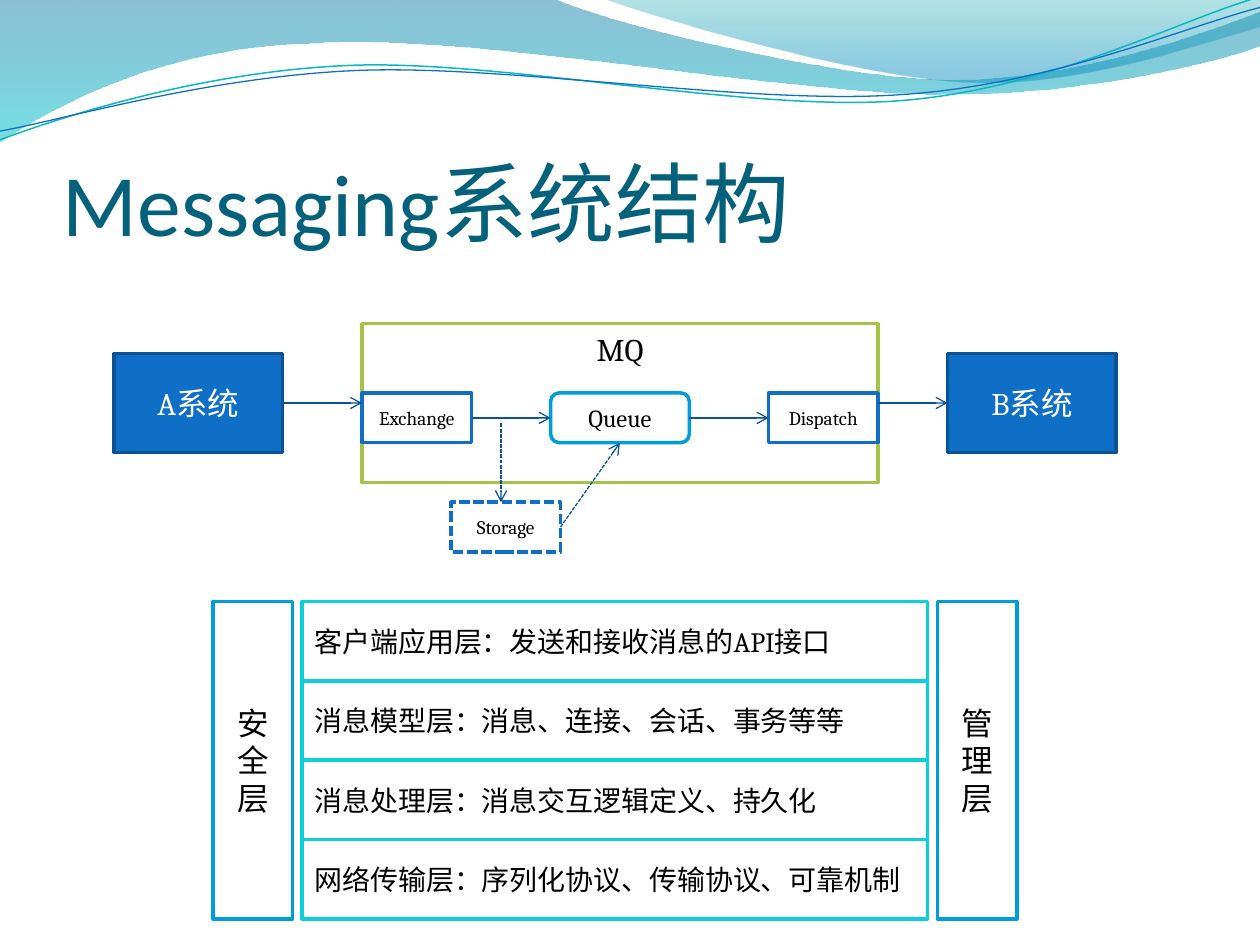
from math import cos, radians, sin
from typing import NamedTuple

from lxml import etree
from pptx import Presentation
from pptx.dml.color import RGBColor
from pptx.enum.dml import MSO_LINE
from pptx.enum.shapes import MSO_CONNECTOR, MSO_SHAPE
from pptx.enum.text import MSO_ANCHOR, PP_ALIGN
from pptx.oxml.ns import qn
from pptx.util import Pt

RECT, ROUNDED = MSO_SHAPE.RECTANGLE, MSO_SHAPE.ROUNDED_RECTANGLE
STRAIGHT = MSO_CONNECTOR.STRAIGHT
DASHED = MSO_LINE.SQUARE_DOT
TOP, MIDDLE, BOTTOM = MSO_ANCHOR.TOP, MSO_ANCHOR.MIDDLE, MSO_ANCHOR.BOTTOM
LEFT, CENTER = PP_ALIGN.LEFT, PP_ALIGN.CENTER

WHITE = RGBColor(0xFF, 0xFF, 0xFF)
BLACK = RGBColor(0, 0, 0)
TITLE_TEAL = RGBColor(0x04, 0x61, 0x7B)
BLUE = RGBColor(0x0F, 0x6F, 0xC6)
DARK_BLUE = RGBColor(0x0B, 0x52, 0x92)
ARROW_BLUE = RGBColor(0x09, 0x52, 0x95)
SKY = RGBColor(0x00, 0x9D, 0xD9)
CYAN = RGBColor(0x0B, 0xD0, 0xD9)
GREEN = RGBColor(0xA5, 0xC2, 0x49)
WAVE_TEAL = RGBColor(0x0A, 0xB8, 0xBF)
BAND_TOP, BAND_END = RGBColor(0x00, 0x74, 0xA1), RGBColor(0x00, 0xC6, 0xCF)
CREST_TOP, CREST_END = RGBColor(0x00, 0xA1, 0xA9), RGBColor(0x00, 0x8B, 0xBF)

TILT = -2.7  # degrees, for the thin wave lines
Point = tuple[float, float]


class Stop(NamedTuple):
    position: float
    color: RGBColor
    opacity: int


class Wave(NamedTuple):
    segments: list[list[Point]]  # one point is a line, three are a cubic curve
    stops: tuple[Stop, ...] = ()
    line: RGBColor | None = None
    width: float = 0
    center: Point = (0, 0)


class Box(NamedTuple):
    text: str
    left: float
    top: float
    width: float
    height: float
    line: RGBColor
    size: float
    fill: RGBColor = WHITE
    color: RGBColor = BLACK
    kind: int = RECT
    anchor: int = MIDDLE
    align: int = CENTER
    dash: int | None = None


class Arrow(NamedTuple):
    start: Point
    end: Point
    dash: int | None = None


def turn(point: Point, center: Point, degrees: float) -> Point:
    angle = radians(degrees)
    dx, dy = point[0] - center[0], point[1] - center[1]
    return (center[0] + dx * cos(angle) - dy * sin(angle),
            center[1] + dx * sin(angle) + dy * cos(angle))


def bend(shape, segments: list[list[Point]]) -> None:
    """Turn each run of three straight segments into one cubic curve."""
    lines = iter(list(shape.element.spPr.iter(qn("a:lnTo"))))
    for segment in segments[1:]:
        parts = [next(lines) for _ in segment]
        if len(parts) == 3:
            curve = etree.Element(qn("a:cubicBezTo"))
            parts[0].addprevious(curve)
            for part in parts:
                curve.append(part[0])
                part.getparent().remove(part)


def draw_wave(page, wave: Wave) -> None:
    tilt = 0 if wave.stops else TILT
    points = [turn(point, wave.center, -tilt)
              for segment in wave.segments for point in segment]
    vertices = [(Pt(x), Pt(y)) for x, y in points]
    builder = page.shapes.build_freeform(*vertices[0], scale=1.0)
    builder.add_line_segments(vertices[1:], close=bool(wave.stops))
    shape = builder.convert_to_shape()
    bend(shape, wave.segments)
    shape.rotation = tilt
    shape.shadow.inherit = False
    if not wave.stops:
        shape.fill.background()
        shape.line.color.rgb = wave.line
        shape.line.width = Pt(wave.width)
        return
    shape.fill.gradient()
    shape.fill.gradient_angle = 270
    for target, stop in zip(shape.fill.gradient_stops, wave.stops):
        target.position = stop.position
        target.color.rgb = stop.color
    fill_xml = shape.element.spPr.find(qn("a:gradFill"))
    for color_xml, stop in zip(fill_xml.iter(qn("a:srgbClr")), wave.stops):
        etree.SubElement(color_xml, qn("a:alpha"), val=str(stop.opacity * 1000))
    shape.line.fill.background()


def write_text(frame, text: str, align: int, color: RGBColor,
               font: dict, layout: dict) -> None:
    para = frame.paragraphs[0]
    para.alignment = align
    span = para.add_run()
    span.text = text
    span.font.color.rgb = color
    for target, values in ((frame, {"word_wrap": True, **layout}), (span.font, font)):
        for name, value in values.items():
            setattr(target, name, value)


def draw_box(page, box: Box) -> None:
    shape = page.shapes.add_shape(box.kind, Pt(box.left), Pt(box.top),
                                  Pt(box.width), Pt(box.height))
    shape.shadow.inherit = False
    shape.fill.solid()
    shape.fill.fore_color.rgb = box.fill
    shape.line.color.rgb = box.line
    shape.line.width = Pt(2)
    if box.dash:
        shape.line.dash_style = box.dash
    write_text(shape.text_frame, box.text, box.align, box.color,
               {"name": "Cambria", "size": Pt(box.size)}, {"vertical_anchor": box.anchor})


def draw_arrow(page, arrow: Arrow) -> None:
    ends = [Pt(value) for value in (*arrow.start, *arrow.end)]
    connector = page.shapes.add_connector(STRAIGHT, *ends)
    connector.line.color.rgb = ARROW_BLUE
    connector.line.width = Pt(0.75)
    if arrow.dash:
        connector.line.dash_style = arrow.dash
    properties = connector.element.spPr
    etree.SubElement(properties.find(qn("a:ln")), qn("a:tailEnd"), type="arrow")
    etree.SubElement(properties, qn("a:effectLst"))


deck = Presentation()
deck.slide_width, deck.slide_height = Pt(720), Pt(540)
page = deck.slides.add_slide(deck.slide_layouts[6])

# Waves along the top edge
WAVES = [
    Wave([[(0, 0)], [(316.8, -0.7)], [(342.7, 12.2), (478, 45.4), (545.8, 45.4)],
          [(614.2, 45.4), (689.8, 18.7), (720, 6.5)], [(720.7, 25.9)],
          [(707.8, 31.7), (626.4, 54.7), (537.1, 54)],
          [(447.8, 54), (275, 20.2), (185, 24.5)],
          [(92.9, 25.9), (33.1, 59.8), (-0.7, 81.4)]],
         (Stop(0, BAND_TOP, 45), Stop(1, BAND_END, 55))),
    Wave([[(344.9, -0.7)], [(366.5, 7.9), (491, 44.6), (553.7, 46.8)],
          [(616.3, 49.7), (691.9, 23), (720, 15.1)], [(720, 0)]],
         (Stop(0, CREST_TOP, 30), Stop(0.8, CREST_END, 45))),
    Wave([[(0, 79.9)], [(34.6, 67), (113.8, 41), (199.4, 37.4)],
          [(284.4, 33.8), (427, 64.1), (513.4, 57.6)],
          [(599.8, 51.1), (675.4, 10.8), (718.6, -1.4)]],
         line=WAVE_TEAL, width=0.85, center=(359.3, 41.4)),
    Wave([[(0, 74.9)], [(33.8, 69.1), (118.1, 43.9), (203.8, 40.3)],
          [(290.2, 36.7), (429.8, 60.5), (516.2, 54)],
          [(601.9, 48.2), (677.5, 15.1), (720, 4.3)]],
         line=BLUE, width=0.75, center=(359.6, 42.5)),
]
for wave in WAVES:
    draw_wave(page, wave)

# Title
title = page.shapes.add_textbox(Pt(36), Pt(55.4), Pt(648), Pt(90))
write_text(title.text_frame, "Messaging系统结构", LEFT, TITLE_TEAL,
           {"name": "Calibri", "size": Pt(50)},
           {"vertical_anchor": BOTTOM, "margin_left": 0, "margin_right": 0,
            "margin_top": Pt(3.6), "margin_bottom": 0})

# Message flow: two systems, the queue server and its parts
PART_TOP, PART_WIDTH, PART_HEIGHT = 224.6, 62.6, 28.35
boxes = [Box(text, left, 202, 96.3, 56.7, DARK_BLUE, 18, BLUE, WHITE)
         for text, left in (("A系统", 65.2), ("B系统", 541.5))]
boxes += [Box("MQ", 206.9, 185, 294.8, 90.7, GREEN, 18, anchor=TOP),
          Box("Queue", 314.7, PART_TOP, 79.2, PART_HEIGHT, SKY, 14, kind=ROUNDED)]
boxes += [Box(text, left, top, PART_WIDTH, PART_HEIGHT, BLUE, 11, dash=dash)
          for text, left, top, dash in (("Exchange", 206.9, PART_TOP, None),
                                        ("Dispatch", 439.2, PART_TOP, None),
                                        ("Storage", 257.7, 287, DASHED))]

# Layer stack between two side columns
STACK_TOP, LAYER_HEIGHT = 343.7, 45.35
LAYERS = ["客户端应用层：发送和接收消息的API接口", "消息模型层：消息、连接、会话、事务等等",
          "消息处理层：消息交互逻辑定义、持久化", "网络传输层：序列化协议、传输协议、可靠机制"]
boxes += [Box(text, 172.7, STACK_TOP + row * LAYER_HEIGHT, 357.3, LAYER_HEIGHT,
              CYAN, 16, align=LEFT) for row, text in enumerate(LAYERS)]
boxes += [Box(text, left, STACK_TOP, 45.35, LAYER_HEIGHT * len(LAYERS), SKY, 18)
          for text, left in (("安全层", 121.9), ("管理层", 535.8))]
for box in boxes:
    draw_box(page, box)

# Arrows
ARROWS = [
    Arrow((161.5, 230.3), (206.9, 230.3)), Arrow((501.7, 230.3), (541.5, 230.3)),
    Arrow((269.5, 238.8), (314.7, 238.8)), Arrow((393.9, 238.8), (439.2, 238.8)),
    Arrow((286.3, 242), (286.3, 287), DASHED),
    Arrow((320.3, 301.2), (354.3, 253), DASHED),
]
for arrow in ARROWS:
    draw_arrow(page, arrow)

deck.save("out.pptx")
